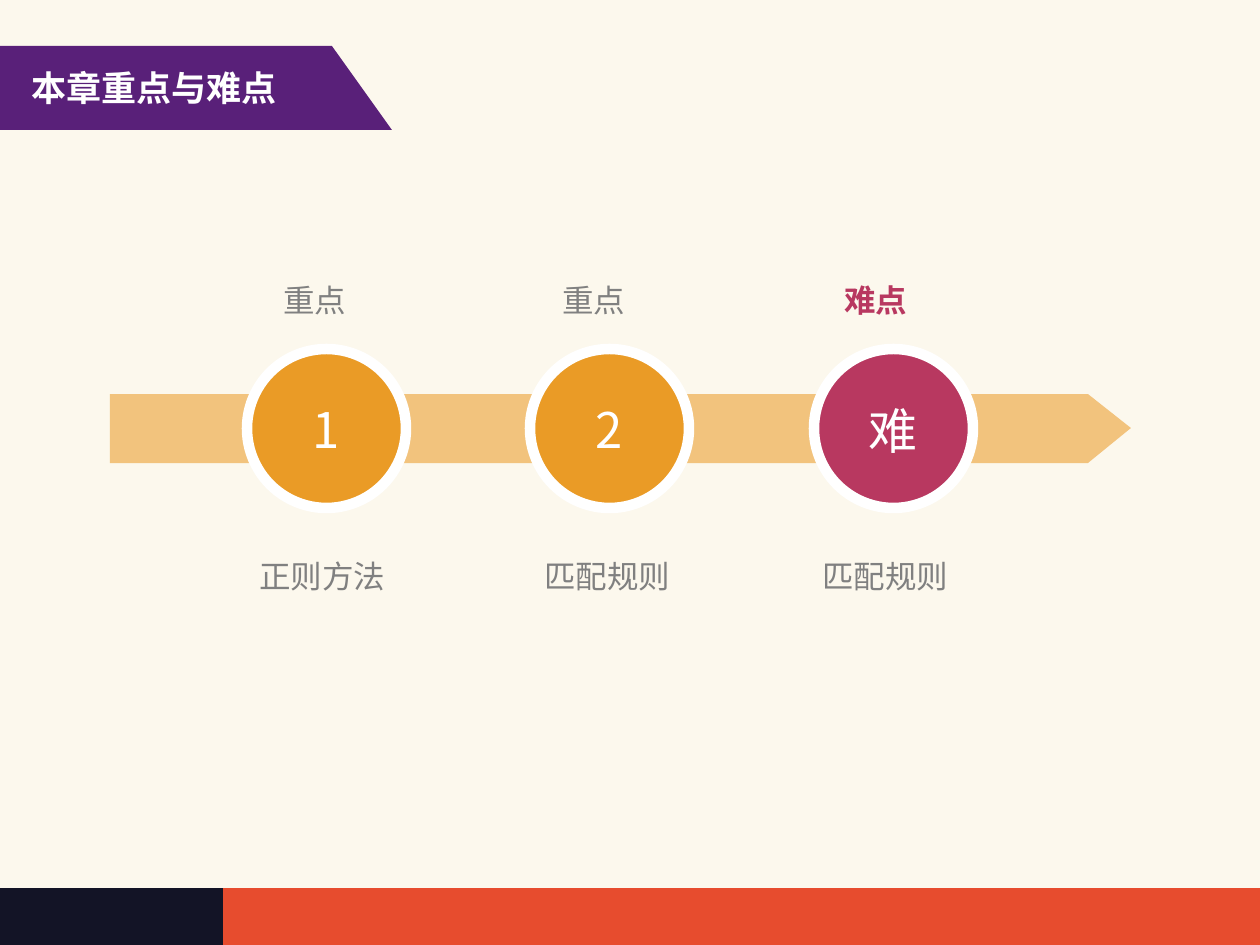
from lxml import etree
from pptx import Presentation
from pptx import util as u
from pptx.dml.color import RGBColor
from pptx.enum import shapes, text
from pptx.oxml.ns import qn

FONT = "Noto Sans CJK SC"
HUE = {
    "cream": "FCF8ED", "red": "E74C2E", "navy": "131426", "plum": "592079",
    "sand": "F2C37D", "gold": "EA9B26", "rose": "B83860", "gray": "808080",
    "white": "FFFFFF",
}


def px(*nums):
    return [u.Inches(n / 126) for n in nums]


def write(box, words, size=18, hue="gray", bold=False, align="LEFT",
          anchor="TOP", wrap=True, lead=None):
    frame = box.text_frame
    frame.word_wrap = wrap
    frame.auto_size = text.MSO_AUTO_SIZE.SHAPE_TO_FIT_TEXT
    frame.vertical_anchor = text.MSO_ANCHOR[anchor]
    frame.margin_left = frame.margin_right = u.Inches(0.05)
    frame.margin_top = frame.margin_bottom = u.Inches(0.05)
    para = frame.paragraphs[0]
    para.alignment = text.PP_ALIGN[align]
    if lead:
        para.line_spacing = lead
    run = para.add_run()
    run.text = words
    font = run.font
    font.size, font.bold = u.Pt(size), bold
    font.color.rgb = RGBColor.from_string(HUE[hue])
    font.name = FONT
    etree.SubElement(font._element, qn("a:ea")).set("typeface", FONT)


deck = Presentation()
deck.slide_width, deck.slide_height = px(1260, 945)
slide = deck.slides.add_slide(deck.slide_layouts[5])
title = slide.shapes.title
kinds = shapes.MSO_SHAPE

bars = [
    ("cream", 0, 0, 1260, 945),
    ("red", 0, 888, 1260, 57),
    ("navy", 0, 888, 223, 57),
]
for hue, *area in bars:
    bar = slide.shapes.add_shape(kinds.RECTANGLE, *px(*area))
    bar.shadow.inherit = False
    bar.fill.solid()
    bar.fill.fore_color.rgb = RGBColor.from_string(HUE[hue])
    bar.line.fill.background()

bands = [
    ("plum", [(0, 46), (332, 46), (392, 130), (0, 130)]),
    ("sand", [(110, 394), (1088, 394), (1131, 428), (1088, 463), (110, 463)]),
]
for hue, dots in bands:
    start, *rest = [px(*dot) for dot in dots]
    pen = slide.shapes.build_freeform(*start)
    pen.add_line_segments(rest, close=True)
    band = pen.convert_to_shape()
    band.shadow.inherit = False
    band.fill.solid()
    band.fill.fore_color.rgb = RGBColor.from_string(HUE[hue])
    band.line.fill.background()

title.left, title.top, title.width, title.height = px(25, 60, 326, 62)
write(title, "本章重点与难点", size=20, hue="white", bold=True)
slide.shapes._spTree.append(title._element)

steps = [
    ("1", "gold", 72, "重点", 277, "gray", "正则方法", 253),
    ("2", "gold", 72, "重点", 556, "gray", "匹配规则", 538),
    ("难", "rose", 83, "难点", 838, "rose", "匹配规则", 816),
]
for i, (mark, hue, tall, head, head_x, tint, note, note_x) in enumerate(steps):
    left = 247 + i * 567 // 2
    group = slide.shapes.add_group_shape()
    disc = group.shapes.add_shape(kinds.OVAL, *px(left, 349, 159, 159))
    disc.shadow.inherit = False
    disc.fill.solid()
    disc.fill.fore_color.rgb = RGBColor.from_string(HUE[hue])
    disc.line.color.rgb = RGBColor.from_string(HUE["white"])
    disc.line.width = u.Pt(6)
    box = group.shapes.add_textbox(*px(left + 23, 429 - tall // 2, 112, tall))
    write(box, mark, size=28, hue="white", align="CENTER", anchor="MIDDLE")
    box = slide.shapes.add_textbox(*px(head_x, 275, 77, 57))
    write(box, head, hue=tint, bold=tint == "rose", wrap=False)
    box = slide.shapes.add_textbox(*px(note_x, 532, 140, 57))
    write(box, note, wrap=False, lead=1.5)

deck.save("out.pptx")
